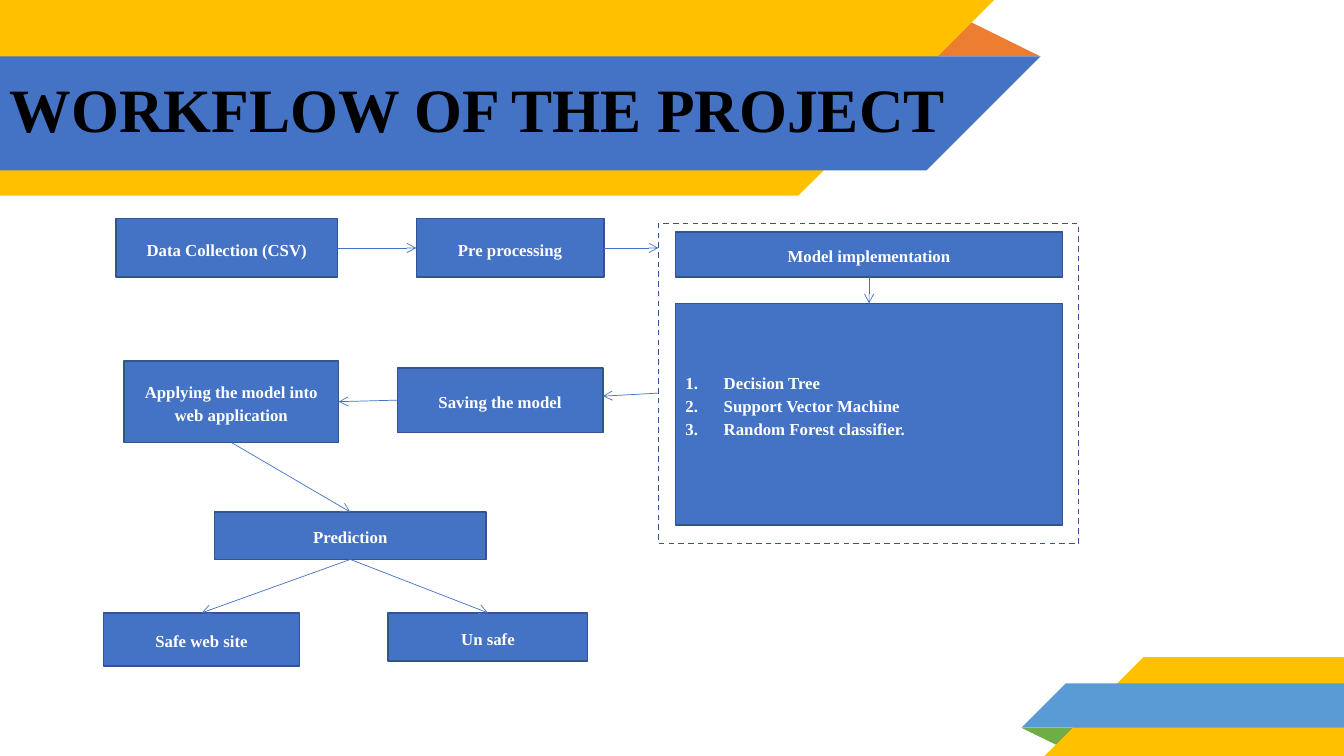
import pptx
import pptx.util
import pptx.dml.color
import pptx.enum.dml
import pptx.enum.shapes
import pptx.enum.text
import pptx.oxml.ns
import lxml.etree

Inches = pptx.util.Inches
Pt = pptx.util.Pt
RGBColor = pptx.dml.color.RGBColor
qn = pptx.oxml.ns.qn
PP_ALIGN = pptx.enum.text.PP_ALIGN

BLACK = RGBColor(0x00, 0x00, 0x00)
WHITE = RGBColor(0xFF, 0xFF, 0xFF)
BLUE = RGBColor(0x44, 0x72, 0xC4)
OUTLINE = RGBColor(0x32, 0x54, 0x91)
GOLD = RGBColor(0xFF, 0xC0, 0x00)
ORANGE = RGBColor(0xED, 0x7D, 0x31)
GREEN = RGBColor(0x70, 0xAD, 0x47)
LIGHT_BLUE = RGBColor(0x5B, 0x9B, 0xD5)
TOP, LEFT, BOTTOM, RIGHT = range(4)

prs = pptx.Presentation()
prs.slide_width, prs.slide_height = Inches(13.33), Inches(7.5)
slide = prs.slides.add_slide(prs.slide_layouts[6])
shapes = slide.shapes


def write(paragraph, text, size, color):
    run = paragraph.add_run()
    run.text = text
    font_format = {"name": "Times New Roman", "size": Pt(size), "bold": True}
    for key, value in font_format.items():
        setattr(run.font, key, value)
    run.font.color.rgb = color


def add_box(left, top, width, height):
    box = shapes.add_shape(pptx.enum.shapes.MSO_SHAPE.RECTANGLE,
                           Inches(left), Inches(top), Inches(width), Inches(height))
    box.shadow.inherit = False
    box.line.color.rgb = OUTLINE
    box.line.width = Pt(1)
    return box


# Slanted bands and their folds in two corners
bands = [
    (ORANGE, [(9.18, 0.56), (9.55, 0.18), (10.32, 0.56)]),
    (GOLD, [(0, 0), (9.86, 0), (7.92, 1.94), (0, 1.94)]),
    (BLUE, [(0, 0.56), (10.32, 0.56), (9.19, 1.69), (0, 1.69)]),
    (GREEN, [(10.13, 7.22), (10.7, 7.22), (10.52, 7.41)]),
    (GOLD, [(11.34, 6.52), (13.33, 6.52), (13.33, 7.5), (10.36, 7.5)]),
    (LIGHT_BLUE, [(10.57, 6.78), (13.33, 6.78), (13.33, 7.22), (10.13, 7.22)]),
]
for color, corners in bands:
    points = [(Inches(x), Inches(y)) for x, y in corners]
    outline = shapes.build_freeform(*points[0])
    outline.add_line_segments(points[1:], close=True)
    band = outline.convert_to_shape()
    band.shadow.inherit = False
    band.fill.solid()
    band.fill.fore_color.rgb = color
    band.line.fill.background()

# Title
title = shapes.add_textbox(Inches(0), Inches(0.56), Inches(9.73), Inches(1.12)).text_frame
title_format = {"word_wrap": True, "vertical_anchor": pptx.enum.text.MSO_ANCHOR.MIDDLE,
                "margin_left": Inches(0.1), "margin_right": Inches(0.1),
                "margin_top": Inches(0.1), "margin_bottom": Inches(0.1)}
for key, value in title_format.items():
    setattr(title, key, value)
title.paragraphs[0].line_spacing = 0.9
write(title.paragraphs[0], "WORKFLOW OF THE PROJECT", 44, BLACK)

# Dashed frame around the model stage
model_frame = add_box(6.53, 2.22, 4.17, 3.17)
model_frame.fill.background()
model_frame.line.dash_style = pptx.enum.dml.MSO_LINE.DASH

# Workflow steps
algorithms = ["Decision Tree", "Support Vector Machine", "Random Forest classifier."]
step_places = {
    "collect": (1.15, 2.17, 2.2, 0.58, ["Data Collection (CSV)"]),
    "prepare": (4.13, 2.17, 1.86, 0.58, ["Pre processing"]),
    "model": (6.7, 2.3, 3.84, 0.45, ["Model implementation"]),
    "algorithms": (6.7, 3.01, 3.84, 2.2, algorithms),
    "save": (3.94, 3.65, 2.04, 0.64, ["Saving the model"]),
    "apply": (1.23, 3.58, 2.13, 0.81, ["Applying the model into web application"]),
    "predict": (2.13, 5.08, 2.69, 0.47, ["Prediction"]),
    "safe": (1.03, 6.08, 1.94, 0.53, ["Safe web site"]),
    "unsafe": (3.85, 6.08, 1.98, 0.48, ["Un safe"]),
}
steps = {}
for key, (left, top, width, height, lines) in step_places.items():
    step = steps[key] = add_box(left, top, width, height)
    step.fill.solid()
    step.fill.fore_color.rgb = BLUE
    frame = step.text_frame
    frame.word_wrap = True
    frame.vertical_anchor = pptx.enum.text.MSO_ANCHOR.MIDDLE
    for number, line in enumerate(lines):
        paragraph = frame.add_paragraph() if number else frame.paragraphs[0]
        paragraph.line_spacing = 1.15
        paragraph.alignment = PP_ALIGN.CENTER
        write(paragraph, line, 12, WHITE)

# Numbered list of algorithms, set a little above the middle
algorithm_list = steps["algorithms"].text_frame
algorithm_list.margin_bottom = Inches(0.25)
for paragraph in algorithm_list.paragraphs:
    paragraph.alignment = PP_ALIGN.LEFT
    properties = paragraph._p.get_or_add_pPr()
    properties.set("marL", str(Inches(0.38)))
    properties.set("indent", str(-Inches(0.38)))
    lxml.etree.SubElement(properties, qn("a:buAutoNum"), type="arabicPeriod")

# Arrows: each end is a step with its side, or None where it stays free
arrows = [
    (3.35, 2.46, 4.13, 2.46, ("collect", RIGHT), ("prepare", LEFT)),
    (5.99, 2.46, 6.53, 2.46, ("prepare", RIGHT), None),
    (8.62, 2.75, 8.62, 3.01, ("model", BOTTOM), ("algorithms", TOP)),
    (6.53, 3.9, 5.98, 3.93, None, None),
    (3.94, 3.97, 3.36, 3.99, ("save", LEFT), ("apply", RIGHT)),
    (2.29, 4.39, 3.48, 5.08, ("apply", BOTTOM), ("predict", TOP)),
    (3.48, 5.55, 2, 6.08, ("predict", BOTTOM), ("safe", TOP)),
    (3.48, 5.55, 4.84, 6.08, ("predict", BOTTOM), ("unsafe", TOP)),
]
for x1, y1, x2, y2, source, target in arrows:
    arrow = shapes.add_connector(pptx.enum.shapes.MSO_CONNECTOR.STRAIGHT,
                                 Inches(x1), Inches(y1), Inches(x2), Inches(y2))
    if source:
        arrow.begin_connect(steps[source[0]], source[1])
    if target:
        arrow.end_connect(steps[target[0]], target[1])
    arrow.line.color.rgb = BLUE
    arrow.line.width = Pt(0.5)
    lxml.etree.SubElement(arrow.line._get_or_add_ln(), qn("a:tailEnd"), type="arrow")
    lxml.etree.SubElement(arrow._element.spPr, qn("a:effectLst"))

prs.save("out.pptx")
